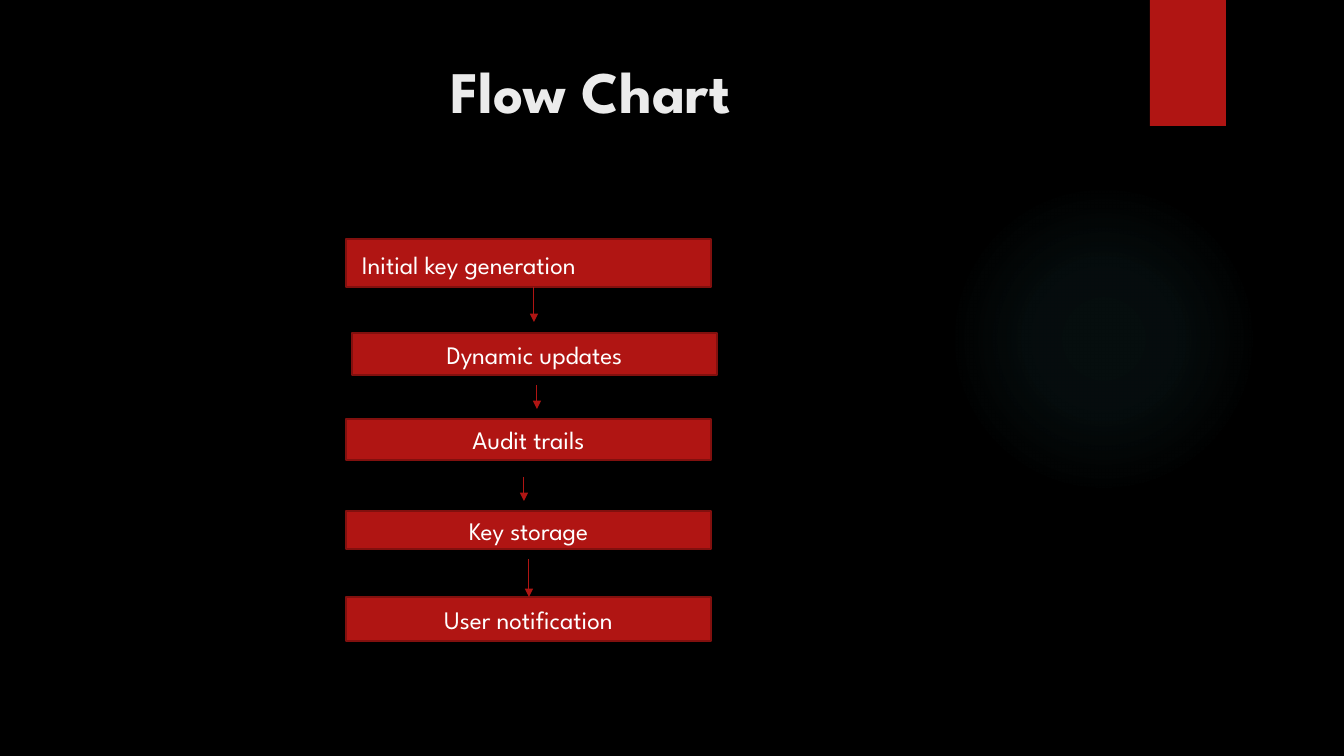
from dataclasses import dataclass

from lxml.etree import SubElement
from pptx import Presentation
from pptx.dml.color import RGBColor
from pptx.enum.shapes import MSO_CONNECTOR, MSO_SHAPE
from pptx.enum.text import MSO_ANCHOR, PP_ALIGN
from pptx.oxml import parse_xml
from pptx.oxml.ns import nsdecls, qn
from pptx.util import Pt

EMU_PER_PIXEL = 914400 / 100.8


@dataclass(frozen=True)
class Theme:
    font: str = "League Spartan"
    background: str = "000000"
    accent: str = "B01513"
    outline: str = "82100E"
    glow: str = "50B9C1"
    heading: str = "EBEBEB"
    label: str = "FFFFFF"
    heading_size: int = 42
    label_size: int = 18
    outline_width: float = 1.5
    arrow_width: float = 0.75


THEME = Theme()


def emu(*pixels):
    return [round(value * EMU_PER_PIXEL) for value in pixels]


def color(code):
    return RGBColor.from_string(code)


def add_block(page, box, kind=MSO_SHAPE.RECTANGLE):
    block = page.shapes.add_shape(kind, *emu(*box))
    block.shadow.inherit = False
    block.fill.solid()
    block.fill.fore_color.rgb = color(THEME.accent)
    block.line.fill.background()
    return block


def write(shape, text, size, code, align, anchor, bold=False):
    frame = shape.text_frame
    frame.word_wrap = True
    frame.vertical_anchor = anchor
    para = frame.paragraphs[0]
    para.text = text
    para.alignment = align
    para.font.name = THEME.font
    para.font.size = Pt(size)
    para.font.bold = bold
    para.font.color.rgb = color(code)


def add_arrow(page, x, top, bottom):
    arrow = page.shapes.add_connector(MSO_CONNECTOR.STRAIGHT, *emu(x, top, x, bottom))
    arrow.line.color.rgb = color(THEME.accent)
    arrow.line.width = Pt(THEME.arrow_width)
    SubElement(arrow.line._get_or_add_ln(), qn("a:tailEnd"), type="triangle")
    SubElement(arrow._element.spPr, qn("a:effectLst"))


def add_glow(page, box):
    glow = add_block(page, box, MSO_SHAPE.OVAL)
    stops = "".join(
        f'<a:gs pos="{place * 1000}"><a:srgbClr val="{THEME.glow}">'
        f'<a:alpha val="{alpha * 1000}"/></a:srgbClr></a:gs>'
        for place, alpha in [(0, 7), (36, 6), (69, 0)]
    )
    gradient = parse_xml(
        f'<a:gradFill {nsdecls("a")}><a:gsLst>{stops}</a:gsLst><a:path path="circle">'
        '<a:fillToRect l="50000" t="50000" r="50000" b="50000"/></a:path></a:gradFill>'
    )
    properties = glow._element.spPr
    properties.replace(properties.find(qn("a:solidFill")), gradient)


def add_backdrop(page, box):
    left, top, width, height = box
    page.background.fill.solid()
    page.background.fill.fore_color.rgb = color(THEME.background)
    add_glow(page, (left + width - 395, top + 184, 310, 310))
    # Ribbon hanging from the top edge
    add_block(page, (left + width - 194, top, 76, 126))


def add_title(page, box):
    title = page.shapes.add_textbox(*emu(*box))
    write(title, "Flow Chart", THEME.heading_size, THEME.heading,
          PP_ALIGN.CENTER, MSO_ANCHOR.TOP, bold=True)


def add_flow(page, box):
    left, top, width, _ = box
    # Steps: text, indent, offset from the top, height
    steps = [
        ("Initial key generation", 0, 0, 48),
        ("Dynamic updates", 6, 94, 42),
        ("Audit trails", 0, 180, 41),
        ("Key storage", 0, 272, 38),
        ("User notification", 0, 358, 44),
    ]
    for number, (text, indent, offset, height) in enumerate(steps):
        step = add_block(page, (left + indent, top + offset, width, height))
        step.line.color.rgb = color(THEME.outline)
        step.line.width = Pt(THEME.outline_width)
        if number == 0:
            # The opening step carries a left-aligned label of its own
            label = page.shapes.add_textbox(*emu(left + 6, top + 5, width - 11, 40))
            align, anchor = PP_ALIGN.LEFT, MSO_ANCHOR.TOP
        else:
            label, align, anchor = step, PP_ALIGN.CENTER, MSO_ANCHOR.MIDDLE
        write(label, text, THEME.label_size, THEME.label, align, anchor)

    # Arrows: x, start and end, all from the corner of the flow
    for x, start, end in [(188, 48, 83), (191, 146, 170), (178, 238, 262), (183, 320, 358)]:
        add_arrow(page, left + x, top + start, top + end)


def build_flow_page(deck, box):
    page = deck.slides.add_slide(deck.slide_layouts[6])
    left, top, _, _ = box
    add_backdrop(page, box)
    add_title(page, (left + 72, top + 50, 1037, 154))
    add_flow(page, (left + 346, top + 239, 365, 402))


deck = Presentation()
deck.slide_width, deck.slide_height = emu(1344, 756)
build_flow_page(deck, (0, 0, 1344, 756))
deck.save("out.pptx")
